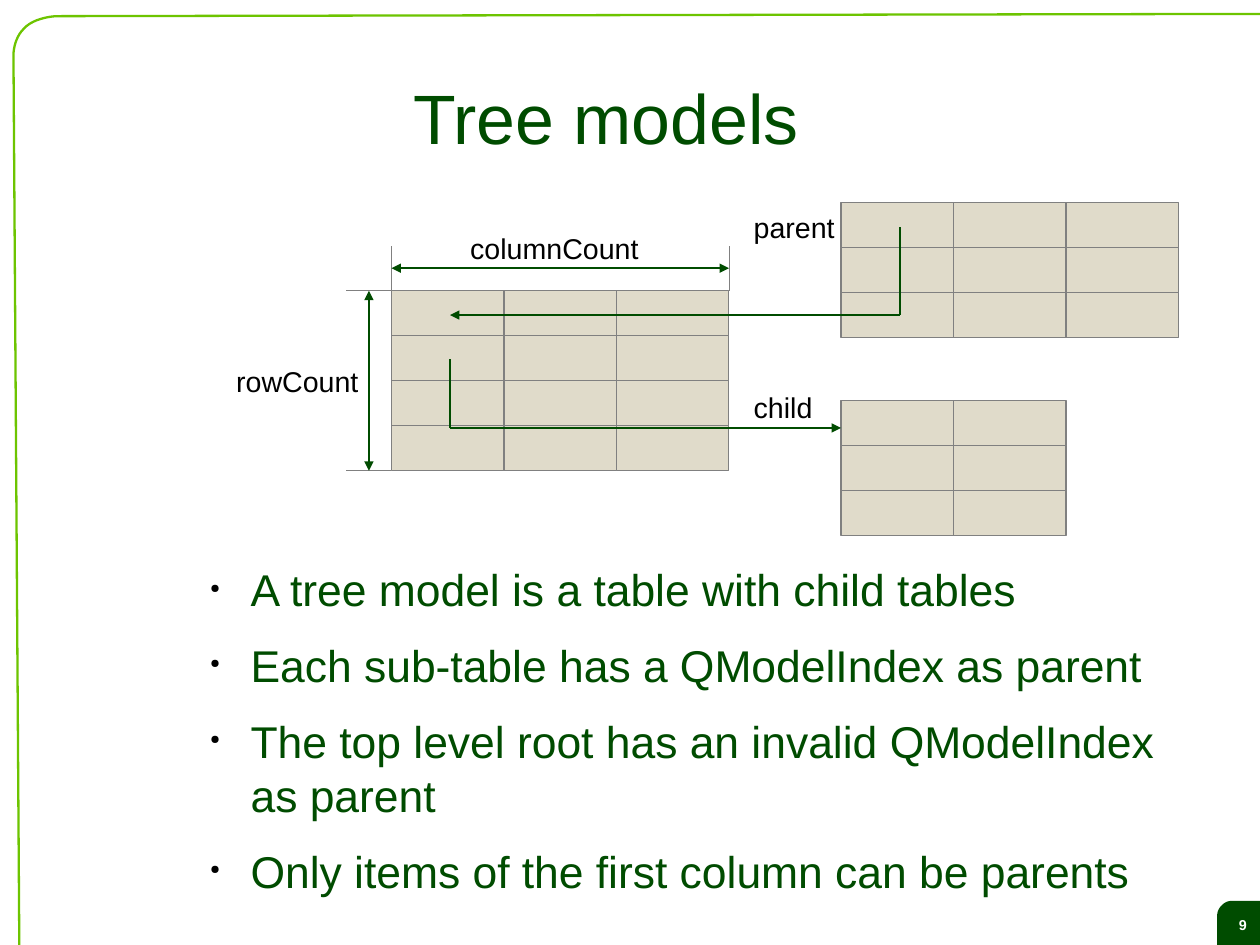
from dataclasses import dataclass

from lxml import etree
from pptx import Presentation
from pptx import util as u
from pptx.dml.color import RGBColor
from pptx.enum import shapes, text
from pptx.oxml.ns import qn
from pptx.util import Cm

DARK_GREEN = RGBColor(0x00, 0x4C, 0x00)
LIME = RGBColor(0x6D, 0xC4, 0x00)
SAND = RGBColor(0xE0, 0xDB, 0xCA)
GREY = RGBColor(0x80, 0x80, 0x80)
BLACK = RGBColor(0, 0, 0)
WHITE = RGBColor(0xFF, 0xFF, 0xFF)
FONT = "Arial"
CELL_WIDTH, CELL_HEIGHT = 2.5, 1.0
ARROW_WIDTH, EXTENSION_WIDTH, CELL_BORDER = 1.13, 0.25, 0

Point = tuple[float, float]


@dataclass
class Grid:
    left: float
    top: float
    columns: int
    rows: int

    @property
    def right(self) -> float:
        return self.left + self.columns * CELL_WIDTH

    @property
    def bottom(self) -> float:
        return self.top + self.rows * CELL_HEIGHT


@dataclass
class Line:
    start: Point
    end: Point
    color: RGBColor = DARK_GREEN
    width: float = ARROW_WIDTH
    head: bool = False
    tail: bool = False


@dataclass
class Label:
    wording: str
    left: float
    top: float
    width: float


MODEL = Grid(8.7, 6.46, 3, 4)
PARENT = Grid(18.69, 4.5, 3, 3)
CHILD = Grid(18.69, 8.9, 2, 3)
EXTENSION = 1.0

EXTENSION_LINES = [
    Line((x, MODEL.top), (x, MODEL.top - EXTENSION), GREY, EXTENSION_WIDTH)
    for x in (MODEL.left, MODEL.right)
] + [
    Line((MODEL.left, y), (MODEL.left - EXTENSION, y), GREY, EXTENSION_WIDTH)
    for y in (MODEL.top, MODEL.bottom)
]
ROW_COUNT_X = MODEL.left - EXTENSION / 2
COLUMN_COUNT_Y = MODEL.top - EXTENSION / 2
CHILD_ARROW_Y = 9.51
ARROWS = [
    Line((10, 7.98), (10, CHILD_ARROW_Y)),
    Line((10, CHILD_ARROW_Y), (CHILD.left, CHILD_ARROW_Y), tail=True),
    Line((20, 5.05), (20, 7)),
    Line((20, 7), (10, 7), tail=True),
    Line((ROW_COUNT_X, MODEL.top), (ROW_COUNT_X, MODEL.bottom), head=True, tail=True),
    Line((MODEL.left, COLUMN_COUNT_Y), (MODEL.right, COLUMN_COUNT_Y), head=True, tail=True),
]
LABELS = [
    Label("rowCount", 5, 7.97, 3.4),
    Label("columnCount", 10.2, 5, 4.6),
    Label("child", 16.5, 8.53, 2.1),
    Label("parent", 16.5, 4.55, 2.6),
]
BULLETS = [
    "A tree model is a table with child tables",
    "Each sub-table has a QModelIndex as parent",
    "The top level root has an invalid QModelIndex as parent",
    "Only items of the first column can be parents",
]


def curve(a: Point, b: Point, c: Point, d: Point, steps: int = 12) -> list[Point]:
    """Points along a cubic Bezier curve, both ends included."""
    points = []
    for step in range(steps + 1):
        t = step / steps
        weights = ((1 - t) ** 3, 3 * t * (1 - t) ** 2, 3 * t * t * (1 - t), t ** 3)
        points.append(tuple(sum(w * p[axis] for w, p in zip(weights, (a, b, c, d)))
                            for axis in (0, 1)))
    return points


def add_outline(slide, points: list[Point], close: bool):
    corners = [(Cm(x), Cm(y)) for x, y in points]
    builder = slide.shapes.build_freeform(*corners[0])
    builder.add_line_segments(corners[1:], close=close)
    shape = builder.convert_to_shape()
    shape.shadow.inherit = False
    return shape


def add_run(paragraph, wording: str, size: float, color: RGBColor, bold: bool = False) -> None:
    run = paragraph.add_run()
    run.text = wording
    run.font.name = FONT
    run.font.size = u.Pt(size)
    run.font.bold = bold
    run.font.color.rgb = color


def add_text_frame(slide, left: float, top: float, width: float, height: float):
    """A wrapping text box without margins; returns its text frame."""
    frame = slide.shapes.add_textbox(Cm(left), Cm(top), Cm(width), Cm(height)).text_frame
    frame.word_wrap = True
    frame.margin_left = frame.margin_right = frame.margin_top = frame.margin_bottom = 0
    return frame


def add_frame_and_page_tab(slide) -> None:
    border = ([(28, 0.31)]
              + curve((1.27, 0.36), (1.24, 0.36), (0.76, 0.38), (0.53, 0.64))
              + curve((0.53, 0.64), (0.3, 0.86), (0.3, 1.22), (0.3, 1.22))
              + [(0.43, 21)])
    frame = add_outline(slide, border, close=False)
    frame.fill.background()
    frame.line.color.rgb = LIME
    frame.line.width = u.Pt(1.45)

    rounded = (curve((27.05, 20.35), (27.05, 20.32), (27.05, 20.22), (27.15, 20.12))
               + curve((27.15, 20.12), (27.25, 20.02), (27.33, 20.02), (27.43, 20.02)))
    tab = add_outline(slide, rounded + [(28.19, 20.02), (28.19, 21.1), (27.05, 21.1)], close=True)
    tab.fill.solid()
    tab.fill.fore_color.rgb = DARK_GREEN
    tab.line.fill.background()
    tab.text_frame.vertical_anchor = text.MSO_ANCHOR.MIDDLE
    paragraph = tab.text_frame.paragraphs[0]
    paragraph.alignment = text.PP_ALIGN.CENTER
    add_run(paragraph, "9", 9, WHITE, bold=True)


def add_title(slide) -> None:
    frame = add_text_frame(slide, 4.37, 0.97, 18.21, 3.25)
    frame.vertical_anchor = text.MSO_ANCHOR.MIDDLE
    paragraph = frame.paragraphs[0]
    paragraph.alignment = text.PP_ALIGN.CENTER
    add_run(paragraph, "Tree models", 44, DARK_GREEN)


def set_bullet(paragraph) -> None:
    properties = paragraph._p.get_or_add_pPr()
    properties.set("marL", str(Cm(1.2)))
    properties.set("indent", str(Cm(-0.9)))
    color = etree.SubElement(properties, qn("a:buClr"))
    etree.SubElement(color, qn("a:srgbClr"), val=str(BLACK))
    etree.SubElement(properties, qn("a:buSzPct"), val="28000")
    etree.SubElement(properties, qn("a:buChar"), char="●")


def add_bullets(slide) -> None:
    frame = add_text_frame(slide, 4.37, 12.5, 22.33, 7)
    for index, wording in enumerate(BULLETS):
        paragraph = frame.add_paragraph() if index else frame.paragraphs[0]
        paragraph.space_after = u.Pt(14.2)
        set_bullet(paragraph)
        add_run(paragraph, wording, 28, DARK_GREEN)


def add_grid(slide, grid: Grid) -> None:
    for row in range(grid.rows):
        for column in range(grid.columns):
            cell = slide.shapes.add_shape(
                shapes.MSO_SHAPE.RECTANGLE,
                Cm(grid.left + column * CELL_WIDTH), Cm(grid.top + row * CELL_HEIGHT),
                Cm(CELL_WIDTH), Cm(CELL_HEIGHT))
            cell.shadow.inherit = False
            cell.fill.solid()
            cell.fill.fore_color.rgb = SAND
            cell.line.color.rgb = GREY
            cell.line.width = u.Pt(CELL_BORDER)


def add_line(slide, line: Line) -> None:
    connector = slide.shapes.add_connector(
        shapes.MSO_CONNECTOR.STRAIGHT, *(Cm(value) for value in line.start + line.end))
    connector.line.color.rgb = line.color
    connector.line.width = u.Pt(line.width)
    outline = connector.line._get_or_add_ln()
    for tag, wanted in (("a:headEnd", line.head), ("a:tailEnd", line.tail)):
        if wanted:
            etree.SubElement(outline, qn(tag), type="triangle")
    etree.SubElement(connector._element.spPr, qn("a:effectLst"))


def add_label(slide, label: Label) -> None:
    frame = slide.shapes.add_textbox(
        Cm(label.left), Cm(label.top), Cm(label.width), Cm(0.97)).text_frame
    frame.word_wrap = True
    add_run(frame.paragraphs[0], label.wording, 18, BLACK)


def main() -> None:
    presentation = Presentation()
    presentation.slide_width, presentation.slide_height = Cm(28), Cm(21)
    slide = presentation.slides.add_slide(presentation.slide_layouts[6])
    add_frame_and_page_tab(slide)
    add_title(slide)
    add_bullets(slide)
    for grid in (MODEL, PARENT, CHILD):
        add_grid(slide, grid)
    for line in EXTENSION_LINES + ARROWS:
        add_line(slide, line)
    for label in LABELS:
        add_label(slide, label)
    presentation.save("out.pptx")


if __name__ == "__main__":
    main()
